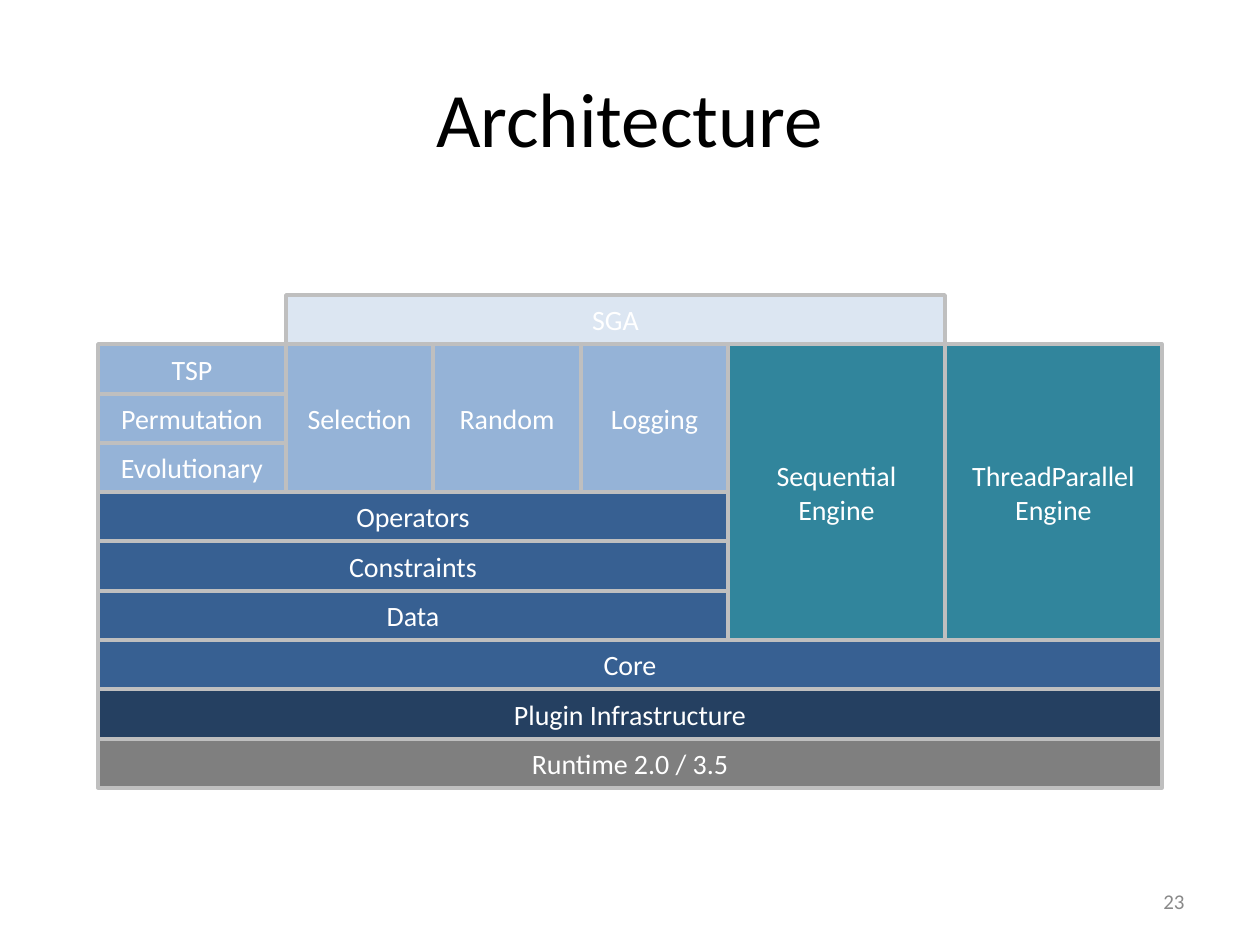
"""Build the Architecture slide: a stack of layers on a shared grid."""
from typing import NamedTuple

from pptx import Presentation
from pptx.dml.color import RGBColor as Color
from pptx.enum.shapes import MSO_SHAPE as Shape
from pptx.enum.text import MSO_ANCHOR as Anchor, PP_ALIGN as Align
from pptx.util import Emu, Pt

PX_PER_INCH = 126
WHITE = Color(0xFF, 0xFF, 0xFF)
BLACK = Color(0x00, 0x00, 0x00)
PAGE_GREY = Color(0x89, 0x89, 0x89)
BORDER = Color(0xBF, 0xBF, 0xBF)
GREY = Color(0x7F, 0x7F, 0x7F)
NAVY = Color(0x25, 0x40, 0x61)
BLUE = Color(0x37, 0x60, 0x92)
TEAL = Color(0x31, 0x85, 0x9C)
SKY = Color(0x95, 0xB3, 0xD7)
PALE = Color(0xDC, 0xE6, 0xF2)

STACK_TOP, STACK_HEIGHT, ROW_COUNT = 295, 493, 10
ROW_EDGES = [STACK_TOP + round(row * STACK_HEIGHT / ROW_COUNT) for row in range(ROW_COUNT + 1)]
COLUMN_EDGES = [98, 286, 433, 581, 728, 945, 1162]


class Block(NamedTuple):
    """A layer spanning grid edges from first to last column and row."""
    text: str
    columns: tuple[int, int]
    rows: tuple[int, int]
    fill: Color


class Label(NamedTuple):
    """A free text box with its place in px."""
    text: str
    left: int
    top: int
    width: int
    height: int
    size: int
    color: Color
    align: Align


BLOCKS = [
    Block("Runtime 2.0 / 3.5", (0, 6), (9, 10), GREY),
    Block("Plugin Infrastructure", (0, 6), (8, 9), NAVY),
    Block("Core", (0, 6), (7, 8), BLUE),
    Block("Data", (0, 4), (6, 7), BLUE),
    Block("Constraints", (0, 4), (5, 6), BLUE),
    Block("Operators", (0, 4), (4, 5), BLUE),
    Block("Sequential\nEngine", (4, 5), (1, 7), TEAL),
    Block("ThreadParallel\nEngine", (5, 6), (1, 7), TEAL),
    Block("Selection", (1, 2), (1, 4), SKY),
    Block("Logging", (3, 4), (1, 4), SKY),
    Block("Evolutionary", (0, 1), (3, 4), SKY),
    Block("Permutation", (0, 1), (2, 3), SKY),
    Block("Random", (2, 3), (1, 4), SKY),
    Block("TSP", (0, 1), (1, 2), SKY),
    Block("SGA", (1, 5), (0, 1), PALE),
]
LABELS = [
    Label("Architecture", 63, 38, 1134, 157, 44, BLACK, Align.CENTER),
    Label("23", 903, 876, 294, 50, 12, PAGE_GREY, Align.RIGHT),
]


def px(length: int) -> Emu:
    """Turn px into EMU."""
    return Emu(round(length * 914400 / PX_PER_INCH))


def write_text(box, text: str, size: int, color: Color, align: Align) -> None:
    """Fill a shape with one middle-anchored paragraph."""
    frame = box.text_frame
    for name, value in {"word_wrap": True, "vertical_anchor": Anchor.MIDDLE}.items():
        setattr(frame, name, value)
    para = frame.paragraphs[0]
    para.text = text
    para.alignment = align
    for span in para.runs:
        for name, value in {"name": "Calibri", "size": Pt(size)}.items():
            setattr(span.font, name, value)
        span.font.color.rgb = color


def draw_block(shapes, block: Block) -> None:
    """Draw one bordered layer on the grid."""
    left, right = (COLUMN_EDGES[edge] for edge in block.columns)
    top, bottom = (ROW_EDGES[edge] for edge in block.rows)
    box = shapes.add_shape(Shape.RECTANGLE, px(left), px(top), px(right - left), px(bottom - top))
    box.shadow.inherit = False
    box.fill.solid()
    box.fill.fore_color.rgb = block.fill
    box.line.color.rgb = BORDER
    box.line.width = Pt(2)
    write_text(box, block.text, 16, WHITE, Align.CENTER)


def draw_label(shapes, label: Label) -> None:
    """Draw one free text box."""
    box = shapes.add_textbox(px(label.left), px(label.top), px(label.width), px(label.height))
    write_text(box, label.text, label.size, label.color, label.align)


def main() -> None:
    """Build and save the deck."""
    deck = Presentation()
    deck.slide_width, deck.slide_height = px(1260), px(945)
    page = deck.slides.add_slide(deck.slide_layouts[6])
    title, page_number = LABELS
    draw_label(page.shapes, title)
    stack = page.shapes.add_group_shape()
    for block in BLOCKS:
        draw_block(stack.shapes, block)
    draw_label(page.shapes, page_number)
    deck.save("out.pptx")


if __name__ == "__main__":
    main()
